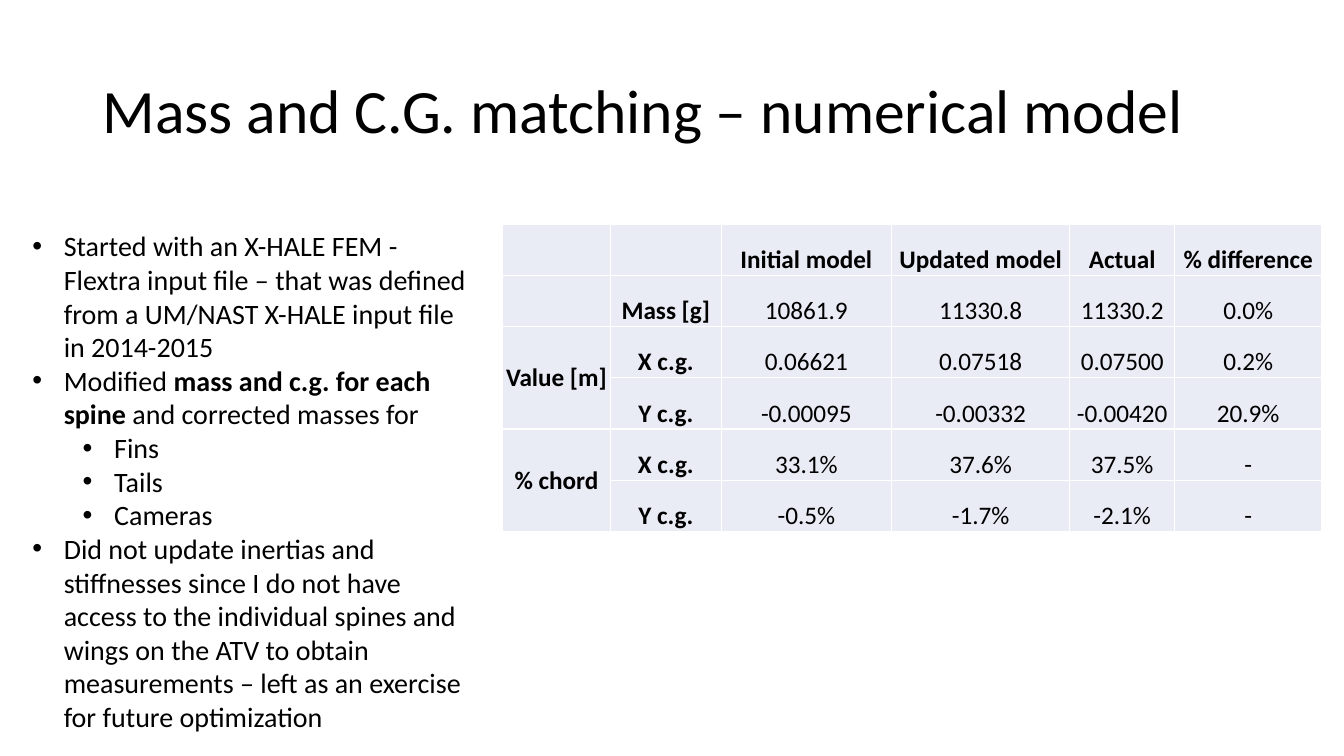
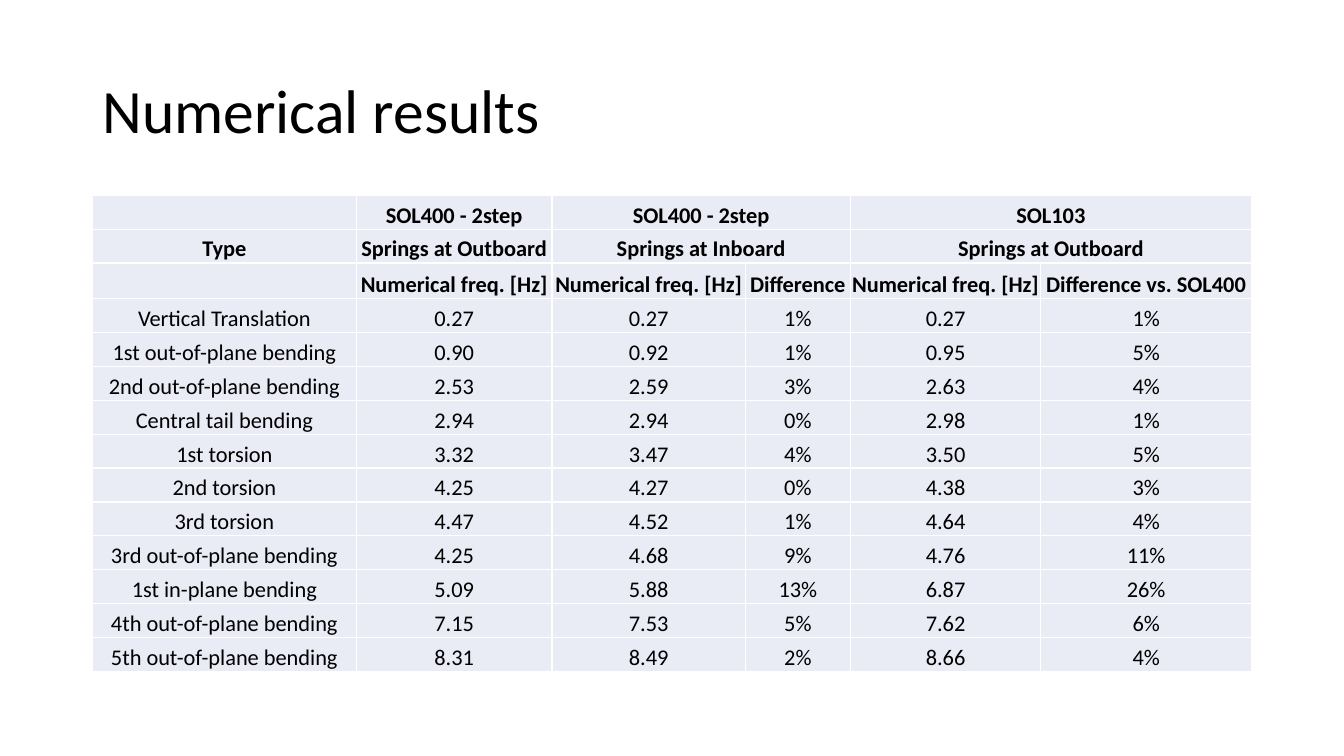
from pptx import Presentation
from pptx.dml.color import RGBColor
from pptx.enum import text
from pptx.oxml import parse_xml
from pptx.oxml.ns import nsdecls
from pptx.util import Pt

COLORS = {"ink": "000000", "cell": "E9EBF5", "rule": "FFFFFF"}
FONT = "Calibri"
TITLE_PLACE = {"left": 66, "top": 28.8, "width": 828, "height": 104.4}
CELL_MARGINS = {"margin_left": 0.72, "margin_right": 0.72, "margin_top": 0.72, "margin_bottom": 0}


def add_span(para, words, size, bold=False):
    span = para.add_run()
    span.text = words
    look = {"name": FONT, "size": Pt(size), "bold": bold}
    for name, value in look.items():
        setattr(span.font, name, value)
    span.font.color.rgb = RGBColor.from_string(COLORS["ink"])


def add_grid(page, left, top, widths, heights, rows, size, bold_rows, bold_columns, merges):
    """Add a table; each merge is (first row, first column, last row, last column)."""
    frame = page.shapes.add_table(
        len(rows), len(widths), Pt(left), Pt(top), Pt(sum(widths)), Pt(sum(heights)))
    table = frame.table
    table.first_row = table.horz_banding = False
    for column, width in zip(table.columns, widths):
        column.width = Pt(width)
    for row, height in zip(table.rows, heights):
        row.height = Pt(height)
    for r, row in enumerate(rows):
        for c, words in enumerate(row):
            cell = table.cell(r, c)
            for name, value in CELL_MARGINS.items():
                setattr(cell, name, Pt(value))
            cell.vertical_anchor = text.MSO_ANCHOR.BOTTOM
            properties = cell._tc.get_or_add_tcPr()
            for side in "LRTB":
                properties.append(parse_xml(
                    f'<a:ln{side} {nsdecls("a")} w="12700"><a:solidFill>'
                    f'<a:srgbClr val="{COLORS["rule"]}"/></a:solidFill></a:ln{side}>'))
            cell.fill.solid()
            cell.fill.fore_color.rgb = RGBColor.from_string(COLORS["cell"])
            if words:
                para = cell.text_frame.paragraphs[0]
                para.alignment = text.PP_ALIGN.CENTER
                add_span(para, words, size, r < bold_rows or c < bold_columns)
    for r1, c1, r2, c2 in merges:
        table.cell(r1, c1).merge(table.cell(r2, c2))
        if r2 > r1:
            table.cell(r1, c1).vertical_anchor = text.MSO_ANCHOR.MIDDLE


deck = Presentation()
deck.slide_width, deck.slide_height = Pt(960), Pt(540)

pages = []
for heading in ["Mass and C.G. matching – numerical model", "Numerical results"]:
    page = deck.slides.add_slide(deck.slide_layouts[5])
    title = page.shapes.title
    for name, value in TITLE_PLACE.items():
        setattr(title, name, Pt(value))
    title.text_frame.vertical_anchor = text.MSO_ANCHOR.MIDDLE
    para = title.text_frame.paragraphs[0]
    para.alignment = text.PP_ALIGN.LEFT
    para.line_spacing = 0.9
    add_span(para, heading, 44)
    pages.append(page)
mass_page, results_page = pages

# Mass and centre of gravity
add_grid(
    mass_page, 359, 160,
    widths=[77, 79.2, 121.6, 127.4, 74.9, 105.1], heights=[36.6] * 6,
    rows=[
        ["", "", "Initial model", "Updated model", "Actual", "% difference"],
        ["", "Mass [g]", "10861.9", "11330.8", "11330.2", "0.0%"],
        ["Value [m]", "X c.g.", "0.06621", "0.07518", "0.07500", "0.2%"],
        ["", "Y c.g.", "-0.00095", "-0.00332", "-0.00420", "20.9%"],
        ["% chord", "X c.g.", "33.1%", "37.6%", "37.5%", "-"],
        ["", "Y c.g.", "-0.5%", "-1.7%", "-2.1%", "-"],
    ],
    size=18, bold_rows=1, bold_columns=2, merges=[(2, 0, 3, 0), (4, 0, 5, 0)])

notes = [
    (0, ["Started with an X-HALE FEM - Flextra input file – that was defined from "
         "a UM/NAST X-HALE input file in 2014-2015"]),
    (0, ["Modified ", "mass and c.g. for each spine", " and corrected masses for"]),
    (1, ["Fins"]),
    (1, ["Tails"]),
    (1, ["Cameras"]),
    (0, ["Did not update inertias and stiffnesses since I do not have access to the "
         "individual spines and wings on the ATV to obtain measurements – left as an "
         "exercise for future optimization"]),
]
box = mass_page.shapes.add_textbox(Pt(16), Pt(160), Pt(324), Pt(371))
box.text_frame.word_wrap = True
box.text_frame.auto_size = text.MSO_AUTO_SIZE.SHAPE_TO_FIT_TEXT
for i, (level, spans) in enumerate(notes):
    para = box.text_frame.add_paragraph() if i else box.text_frame.paragraphs[0]
    para.level = level
    properties = para._p.get_or_add_pPr()
    properties.set("marL", str(Pt(22.5 + 36 * level)))
    properties.set("indent", str(Pt(-22.5)))
    properties.append(parse_xml(f'<a:buFont {nsdecls("a")} typeface="Arial"/>'))
    properties.append(parse_xml(f'<a:buChar {nsdecls("a")} char="•"/>'))
    for k, words in enumerate(spans):
        add_span(para, words, 20, bold=k == 1)

# Modal frequencies
frequency = "Numerical freq. [Hz]"
add_grid(
    results_page, 66, 139.5,
    widths=[188.6, 139.7, 138.2, 74.9, 136.1, 150.5],
    heights=[24.2] * 2 + [25.6] + [24.2] * 11,
    rows=[
        ["", "SOL400 - 2step", "SOL400 - 2step", "", "SOL103", ""],
        ["Type", "Springs at Outboard", "Springs at Inboard", "", "Springs at Outboard", ""],
        ["", frequency, frequency, "Difference", frequency, "Difference vs. SOL400"],
        ["Vertical Translation", "0.27", "0.27", "1%", "0.27", "1%"],
        ["1st out-of-plane bending", "0.90", "0.92", "1%", "0.95", "5%"],
        ["2nd out-of-plane bending", "2.53", "2.59", "3%", "2.63", "4%"],
        ["Central tail bending", "2.94", "2.94", "0%", "2.98", "1%"],
        ["1st torsion", "3.32", "3.47", "4%", "3.50", "5%"],
        ["2nd torsion", "4.25", "4.27", "0%", "4.38", "3%"],
        ["3rd torsion", "4.47", "4.52", "1%", "4.64", "4%"],
        ["3rd out-of-plane bending", "4.25", "4.68", "9%", "4.76", "11%"],
        ["1st in-plane bending", "5.09", "5.88", "13%", "6.87", "26%"],
        ["4th out-of-plane bending", "7.15", "7.53", "5%", "7.62", "6%"],
        ["5th out-of-plane bending", "8.31", "8.49", "2%", "8.66", "4%"],
    ],
    size=16, bold_rows=3, bold_columns=0,
    merges=[(r, c, r, c + 1) for r in (0, 1) for c in (2, 4)])

deck.save("out.pptx")
